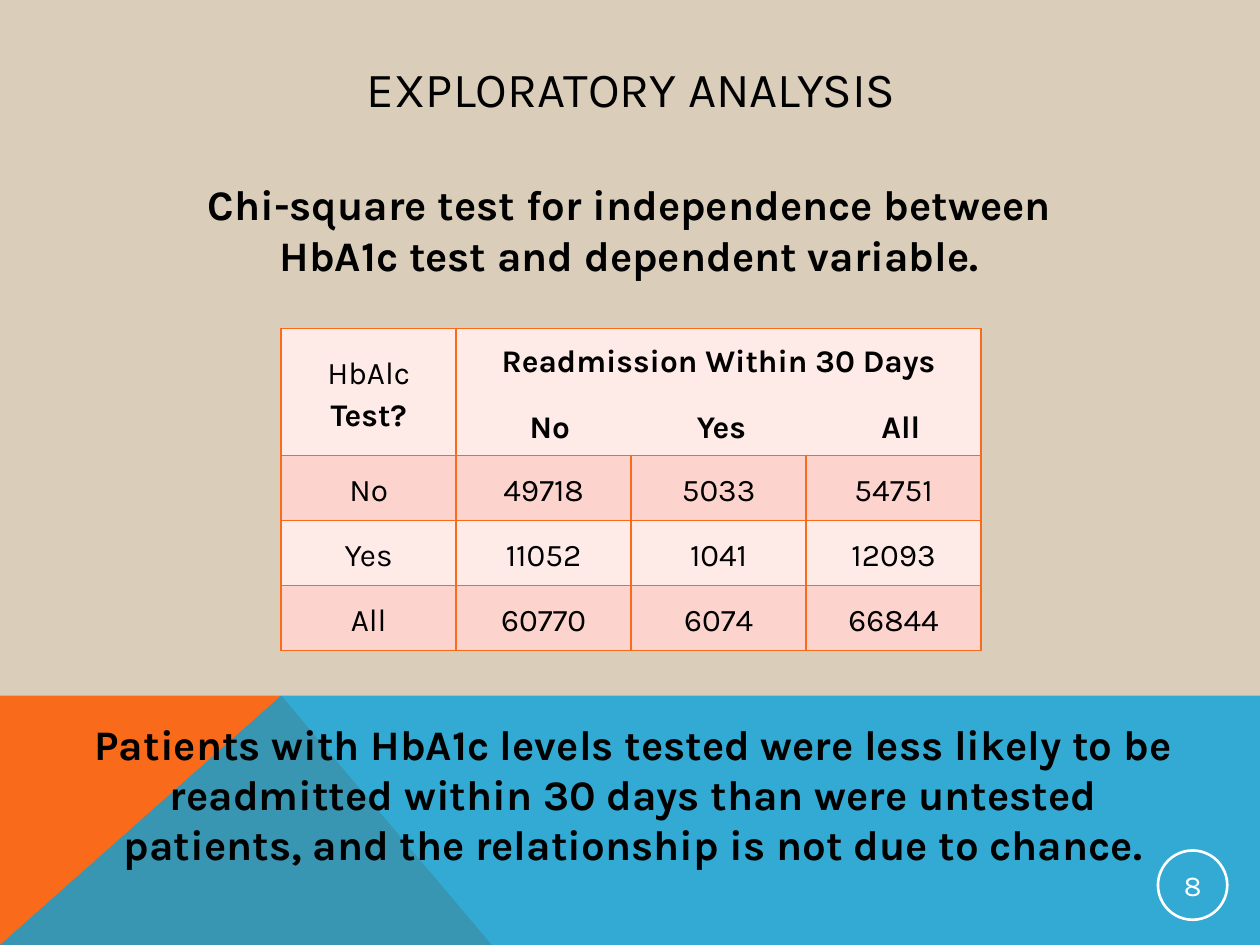
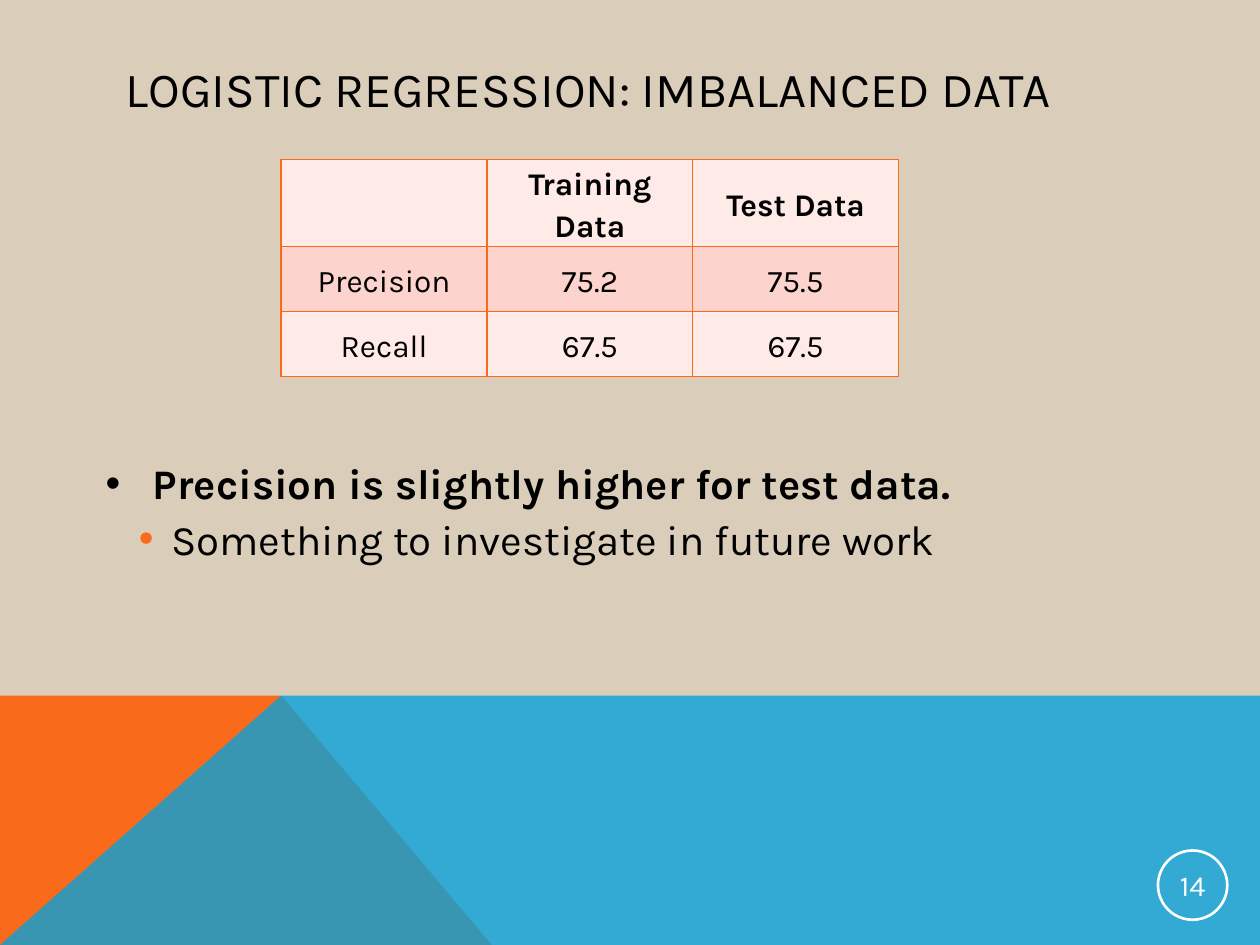
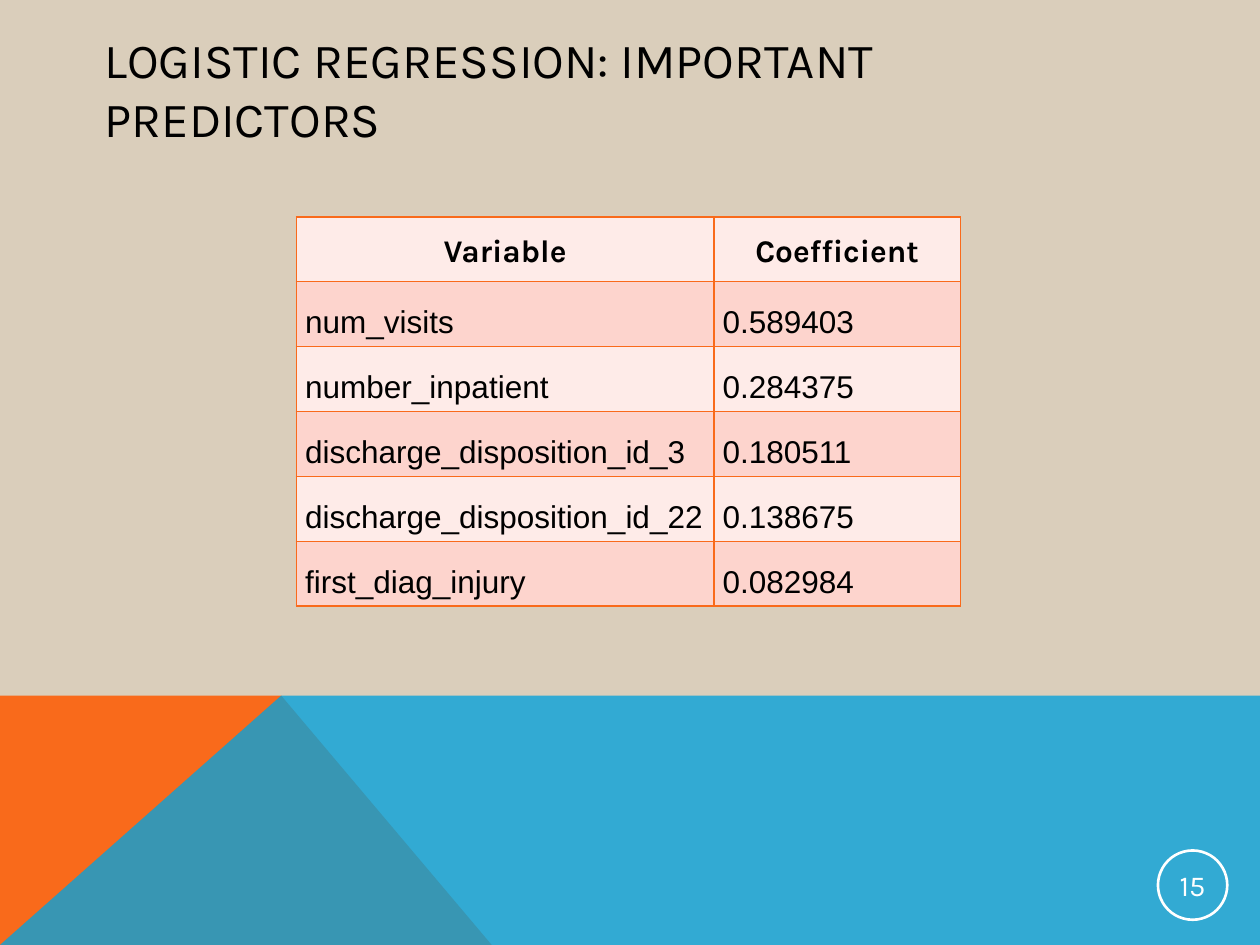
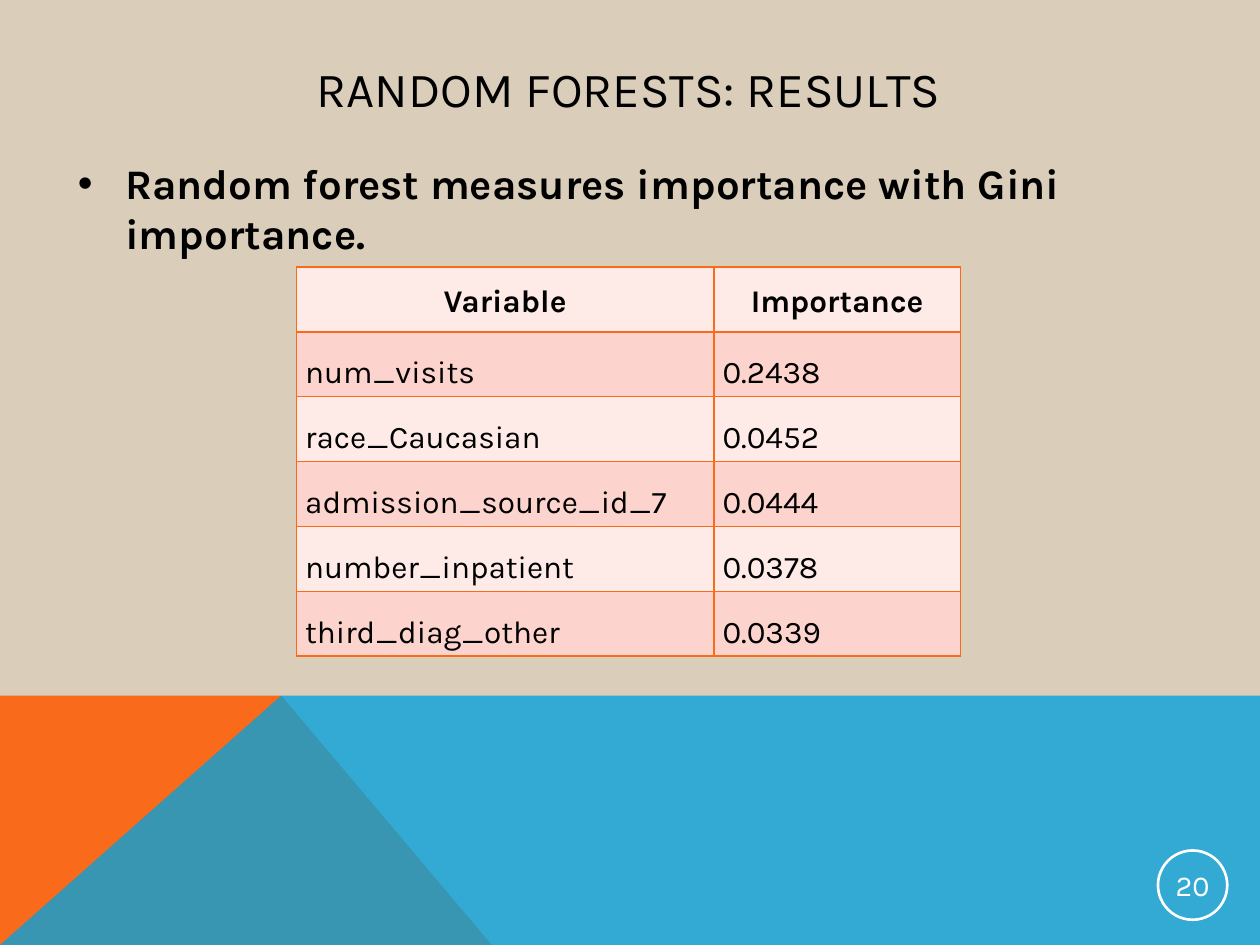
from dataclasses import dataclass
from lxml.etree import SubElement
from pptx import Presentation
from pptx.dml.color import RGBColor
from pptx.enum.shapes import MSO_SHAPE
from pptx.enum.text import MSO_ANCHOR, PP_ALIGN
from pptx.oxml.ns import qn
from pptx.util import Pt


@dataclass(frozen=True)
class Theme:
    sand: str = "DACEBB"
    orange: str = "F96A1B"
    blue: str = "08A1D9"
    black: str = "000000"
    white: str = "FFFFFF"
    pale: str = "FEEBE8"
    pink: str = "FDD4CD"
    face: str = "Karla"
    plain: str = "Arial"
    title: float = 28
    body: float = 24
    cell: float = 18
    badge: float = 16.5


T = Theme()
WIDE, HIGH = 720, 540
BAND = 397.5    # top of the coloured band
PEAK = 160.7    # where orange and blue meet on that edge
FOOT = 281      # right foot of the orange shape
ROW = 37.1      # height of a table row
LEFT, MID = PP_ALIGN.LEFT, PP_ALIGN.CENTER


def rgb(code):
    return RGBColor.from_string(code)


def ink(par, size, bold=False, color=T.black, face=T.face):
    """Format every run of a paragraph."""
    for run in par.runs:
        font = run.font
        font.name, font.size, font.bold = face, Pt(size), bold
        font.color.rgb = rgb(color)


def add_text(slide, box, lines, size, bold=False, align=LEFT, gap=0):
    """Add a wrapped text box and return its frame."""
    frame = slide.shapes.add_textbox(*map(Pt, box)).text_frame
    frame.word_wrap = True
    frame.text = lines
    for par in frame.paragraphs:
        par.alignment, par.space_before = align, Pt(gap)
        ink(par, size, bold)
    return frame


def add_title(slide, text, left, width, align=LEFT):
    frame = add_text(slide, (left, 28.8, width, 43.2), text, T.title, align=align)
    frame.vertical_anchor = MSO_ANCHOR.MIDDLE


def add_body(slide, box, text, align=LEFT):
    return add_text(slide, box, text, T.body, True, align, 8)


def bullet(par, left, hang, color=T.black):
    """Give a paragraph a round bullet with a hanging indent."""
    props = par._p.get_or_add_pPr()
    props.set("marL", str(Pt(left)))
    props.set("indent", str(-Pt(hang)))
    tint = SubElement(props, qn("a:buClr"))
    SubElement(tint, qn("a:srgbClr"), val=color)
    SubElement(props, qn("a:buFont"), typeface=T.plain)
    SubElement(props, qn("a:buChar"), char="•")


def set_tabs(par, stops):
    tabs = SubElement(par._p.get_or_add_pPr(), qn("a:tabLst"))
    for stop in stops:
        SubElement(tabs, qn("a:tab"), pos=str(Pt(stop)), algn="l")


def add_rim(cell):
    """Draw the four borders of a cell."""
    props = cell._tc.get_or_add_tcPr()
    for side in ("lnL", "lnR", "lnT", "lnB"):
        line = SubElement(props, qn(f"a:{side}"), w=str(Pt(1)))
        fill = SubElement(line, qn("a:solidFill"))
        SubElement(fill, qn("a:srgbClr"), val=T.orange)


def add_grid(slide, left, top, cols, rows, align=MID, gap=1.15, face=T.face,
             head=ROW):
    """Add a striped table; the first row is the bold, centred header."""
    highs = [head] + [ROW] * (len(rows) - 1)
    table = slide.shapes.add_table(
        len(rows), len(cols), Pt(left), Pt(top), Pt(sum(cols)), Pt(sum(highs))).table
    table.first_row = table.horz_banding = False
    for col, width in zip(table.columns, cols):
        col.width = Pt(width)
    for r, (row, high) in enumerate(zip(rows, highs)):
        table.rows[r].height = Pt(high)
        for c, text in enumerate(row):
            cell = table.cell(r, c)
            add_rim(cell)
            cell.fill.solid()
            cell.fill.fore_color.rgb = rgb(T.pink if r % 2 else T.pale)
            cell.margin_left = cell.margin_right = Pt(5)
            cell.margin_top = cell.margin_bottom = 0
            cell.vertical_anchor = MSO_ANCHOR.MIDDLE
            cell.text_frame.text = text
            for par in cell.text_frame.paragraphs:
                par.alignment = align if r else MID
                par.line_spacing = gap if r else 1.15
                ink(par, T.cell, r == 0, face=face if r else T.face)
    return table


def add_area(slide, points, color, alpha=None):
    """Add a filled outline without a line."""
    spots = [(Pt(x), Pt(y)) for x, y in points]
    build = slide.shapes.build_freeform(*spots[0])
    build.add_line_segments(spots[1:], close=True)
    area = build.convert_to_shape()
    area.shadow.inherit = False
    area.line.fill.background()
    area.fill.solid()
    area.fill.fore_color.rgb = rgb(color)
    if alpha:
        tint = area._element.spPr.find(f"{qn('a:solidFill')}/{qn('a:srgbClr')}")
        SubElement(tint, qn("a:alpha"), val=str(alpha * 1000))


def add_badge(slide, number):
    """Add the ringed slide number."""
    ring = slide.shapes.add_shape(
        MSO_SHAPE.OVAL, Pt(661.7), Pt(486), Pt(39.6), Pt(39.6))
    ring.shadow.inherit = False
    ring.fill.background()
    ring.line.color.rgb, ring.line.width = rgb(T.white), Pt(1.5)
    frame = ring.text_frame
    frame.margin_left = frame.margin_right = Pt(0.72)
    frame.margin_top = frame.margin_bottom = Pt(0.72)
    frame.vertical_anchor = MSO_ANCHOR.MIDDLE
    frame.text = str(number)
    frame.paragraphs[0].alignment = MID
    ink(frame.paragraphs[0], T.badge, color=T.white)


def add_page(deck, number):
    """Add a slide with the shared band and number."""
    slide = deck.slides.add_slide(deck.slide_layouts[6])
    add_area(slide, [(0, HIGH), (0, BAND), (PEAK, BAND), (FOOT, HIGH)], T.orange)
    add_area(slide, [(0, HIGH), (PEAK, BAND), (WIDE, BAND), (WIDE, HIGH)], T.blue, 80)
    add_badge(slide, number)
    return slide


def show_test(deck):
    slide = add_page(deck, 8)
    add_title(slide, "EXPLORATORY ANALYSIS", 64.8, 591.8, MID)
    add_body(slide, (44.6, 406.8, 634.3, 100.8),
             "Patients with HbA1c levels tested were less likely to be readmitted "
             "within 30 days than were untested patients, and the relationship is "
             "not due to chance.", MID)
    table = add_grid(slide, 160.7, 187.7, [100] * 4, [
        ("HbAlc", "Readmission Within 30 Days\n\tNo\tYes\tAll", "", ""),
        ("No", "49718", "5033", "54751"),
        ("Yes", "11052", "1041", "12093"),
        ("All", "60770", "6074", "66844")], head=72.7)
    # Header: mixed weight on the left, one merged cell on the right
    label = table.cell(0, 0).text_frame.paragraphs[0]
    label.add_run().text = " Test?"
    ink(label, T.cell, True)
    label.runs[0].font.bold = False
    table.cell(0, 1).merge(table.cell(0, 3))
    heads = table.cell(0, 1).text_frame.paragraphs[1]
    heads.alignment, heads.space_before = LEFT, Pt(13.5)
    set_tabs(heads, (37, 132.5, 238))
    add_body(slide, (87.1, 98.6, 545, 38.2),
             "Chi-square test for independence between HbA1c test and dependent "
             "variable.", MID)


def show_scores(deck):
    slide = add_page(deck, 14)
    add_title(slide, "LOGISTIC REGRESSION: IMBALANCED DATA", 64.8, 591.8)
    frame = add_body(slide, (53.3, 257.8, 591.8, 137.5),
                     "Precision is slightly higher for test data.\n"
                     "Something to investigate in future work")
    main_par, sub = frame.paragraphs
    bullet(main_par, 27, 27)
    sub.level, sub.space_before = 1, Pt(3)
    ink(sub, T.body)
    bullet(sub, 37.5, 18.5, T.orange)
    add_grid(slide, 160.7, 91.2, [117.6] * 3, [
        ("", "Training Data", "Test Data"),
        ("Precision", "75.2", "75.5"),
        ("Recall", "67.5", "67.5")])


def add_ranks(slide, top, rows, face=T.face):
    """Add a two-column table of variables and their weights."""
    add_grid(slide, 169.4, top, (238.5, 141), rows, LEFT, 1.5, face)


def show_weights(deck):
    slide = add_page(deck, 15)
    add_title(slide, "LOGISTIC REGRESSION: IMPORTANT PREDICTORS", 52.6, 608)
    add_ranks(slide, 123.9, [
        ("Variable", "Coefficient"),
        ("num_visits", "0.589403"),
        ("number_inpatient", "0.284375"),
        ("discharge_disposition_id_3", "0.180511"),
        ("discharge_disposition_id_22", "0.138675"),
        ("first_diag_injury", "0.082984")], T.plain)


def show_forest(deck):
    slide = add_page(deck, 20)
    add_title(slide, "RANDOM FORESTS: RESULTS", 54.7, 609, MID)
    frame = add_body(slide, (37.4, 86.4, 660.2, 44),
                     "Random forest measures importance with Gini importance.")
    bullet(frame.paragraphs[0], 27, 27)
    add_ranks(slide, 152.5, [
        ("Variable", "Importance"),
        ("num_visits", "0.2438"),
        ("race_Caucasian", "0.0452"),
        ("admission_source_id_7", "0.0444"),
        ("number_inpatient", "0.0378"),
        ("third_diag_other", "0.0339")])


def main():
    deck = Presentation()
    deck.slide_width, deck.slide_height = Pt(WIDE), Pt(HIGH)
    back = deck.slide_master.background.fill
    back.solid()
    back.fore_color.rgb = rgb(T.sand)
    for show in (show_test, show_scores, show_weights, show_forest):
        show(deck)
    deck.save("out.pptx")


if __name__ == "__main__":
    main()
